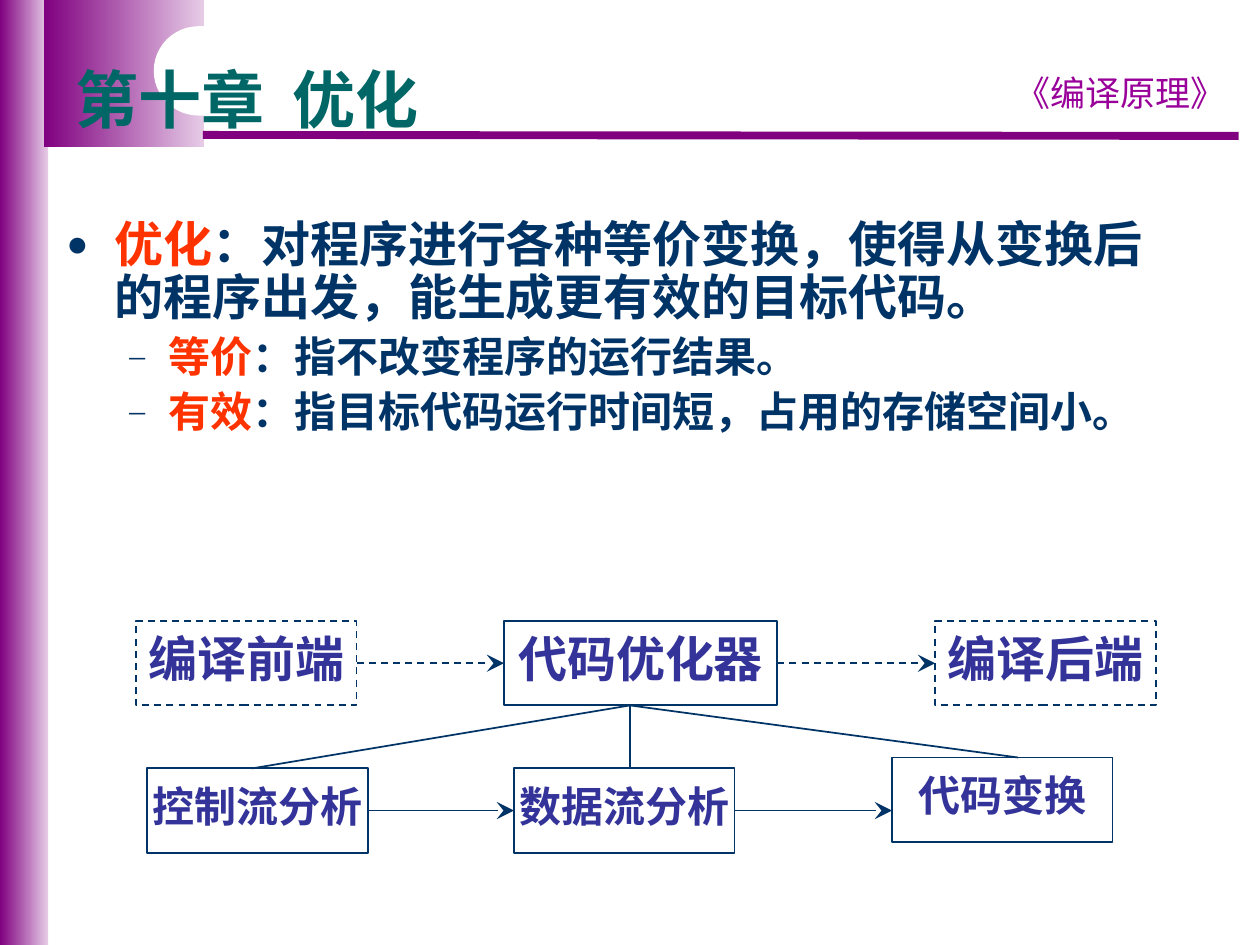
from lxml import etree
from pptx import Presentation
from pptx.dml.color import RGBColor
from pptx.enum import dml, shapes, text
from pptx.oxml import ns
from pptx.util import Cm, Pt

COLOURS = {"purple": "800080", "lilac": "E6CCE6", "white": "FFFFFF", "magenta": "990099",
           "teal": "006666", "navy": "003366", "red": "FF3300", "indigo": "333399"}
CJK = "Noto Sans CJK SC"
TITLE = "第十章  优化"
COURSE = "《编译原理》"
# level, term, explanation
POINTS = [
    (0, "优化", "：对程序进行各种等价变换，使得从变换后的程序出发，能生成更有效的目标代码。"),
    (1, "等价", "：指不改变程序的运行结果。"),
    (1, "有效", "：指目标代码运行时间短，占用的存储空间小。"),
]
# bullet, size, left indent, hanging indent, space before, alignment
LEVELS = [("●", 28, 0.97, 0.97, 0, text.PP_ALIGN.LEFT),
          ("–", 24, 2.06, 0.79, 5.5, text.PP_ALIGN.JUSTIFY)]
# label, left, top, width, text size, dashed
BOX_HEIGHT = 1.7
STAGES = [
    ("编译前端", 2.74, 12.52, 4.45, 28, True),
    ("代码优化器", 10.16, 12.52, 5.51, 28, False),
    ("编译后端", 18.85, 12.52, 4.45, 28, True),
    ("控制流分析", 2.97, 15.49, 4.45, 24, False),
    ("数据流分析", 10.36, 15.49, 4.45, 24, False),
    ("代码变换", 17.98, 15.27, 4.45, 24, False),
]
JOINED_ARROWS = [("编译前端", "代码优化器", True), ("代码优化器", "编译后端", True),
                 ("控制流分析", "数据流分析", False)]
FAN_START = (12.7, 14.22)
FAN_ENDS = [(5.08, 15.49), (12.7, 15.49), (20.52, 15.27)]


def rgb(name):
    return RGBColor.from_string(COLOURS[name])


def add_xml(parent, tag, **attributes):
    return etree.SubElement(parent, ns.qn(tag), attributes)


def write(para, words, size, colour, font=CJK, bold=True):
    span = para.add_run()
    span.text = words
    span.font.size, span.font.bold, span.font.name = Pt(size), bold, font
    span.font.color.rgb = rgb(colour)
    add_xml(span.font._element, "a:ea", typeface=CJK)


def add_text_box(page, left, top, width, height):
    box = page.shapes.add_textbox(Cm(left), Cm(top), Cm(width), Cm(height))
    box.text_frame.word_wrap = True
    return box.text_frame


def add_shape(page, kind, left, top, width, height):
    shape = page.shapes.add_shape(kind, Cm(left), Cm(top), Cm(width), Cm(height))
    shape.shadow.inherit = False
    shape.line.fill.background()
    return shape


def add_line(page, start, end, colour="navy", width=1, dashed=False, arrow=False):
    line = page.shapes.add_connector(
        shapes.MSO_CONNECTOR.STRAIGHT, *(Cm(value) for value in (*start, *end)))
    line.line.color.rgb = rgb(colour)
    line.line.width = Pt(width)
    if dashed:
        line.line.dash_style = dml.MSO_LINE.DASH
    if arrow:
        add_xml(line.line._get_or_add_ln(), "a:tailEnd", type="stealth", w="lg", len="lg")
    add_xml(line._element.spPr, "a:effectLst")
    return line


def add_frame(page):
    for area in ((0, 0, 0.97, 19.05), (0.89, 0, 3.23, 2.97)):
        band = add_shape(page, shapes.MSO_SHAPE.RECTANGLE, *area)
        band.fill.gradient()
        band.fill.gradient_angle = 0
        for stop, colour, place in zip(band.fill.gradient_stops, ("purple", "lilac"), (0, 1)):
            stop.color.rgb = rgb(colour)
            stop.position = place
    add_line(page, (4.09, 2.72), (24.97, 2.74), colour="purple", width=4.5)
    course = add_text_box(page, 20.09, 1.32, 5, 1.09).paragraphs[0]
    course.alignment = text.PP_ALIGN.CENTER
    write(course, COURSE, 20, "magenta", font="Comic Neue", bold=False)
    pill = add_shape(page, shapes.MSO_SHAPE.ROUNDED_RECTANGLE, 3.1, 0.53, 9.19, 1.8)
    pill.adjustments[0] = 0.5
    pill.fill.solid()
    pill.fill.fore_color.rgb = rgb("white")


def add_points(page):
    frame = add_text_box(page, 1.09, 4.32, 22.86, 8.41)
    for index, (level, term, explanation) in enumerate(POINTS):
        bullet, size, left, hanging, before, align = LEVELS[level]
        para = frame.add_paragraph() if index else frame.paragraphs[0]
        para.level, para.alignment = level, align
        para.line_spacing, para.space_before = 0.9, Pt(before)
        props = para._p.get_or_add_pPr()
        props.set("marL", str(Cm(left)))
        props.set("indent", str(-Cm(hanging)))
        colour = add_xml(props, "a:buClr")
        add_xml(colour, "a:srgbClr", val=COLOURS["navy"])
        add_xml(props, "a:buSzPct", val="75000")
        add_xml(props, "a:buFont", typeface="Times New Roman")
        add_xml(props, "a:buChar", char=bullet)
        write(para, term, size, "red")
        write(para, explanation, size, "navy")


def add_stage(page, label, left, top, width, size, dashed):
    box = add_shape(page, shapes.MSO_SHAPE.RECTANGLE, left, top, width, BOX_HEIGHT)
    box.fill.background()
    box.line.color.rgb = rgb("navy")
    box.line.width = Pt(1)
    if dashed:
        box.line.dash_style = dml.MSO_LINE.DASH
    frame = box.text_frame
    frame.word_wrap = False
    frame.vertical_anchor = text.MSO_ANCHOR.MIDDLE
    para = frame.paragraphs[0]
    para.alignment, para.line_spacing = text.PP_ALIGN.CENTER, 0.8
    write(para, label, size, "indigo", font="Times New Roman")
    return box


def add_diagram(page):
    boxes = {stage[0]: add_stage(page, *stage) for stage in STAGES}
    for source, target, dashed in JOINED_ARROWS:
        arrow = add_line(page, (0, 0), (1, 1), dashed=dashed, arrow=True)
        arrow.begin_connect(boxes[source], 3)
        arrow.end_connect(boxes[target], 1)
    arrow = add_line(page, (14.81, 16.34), (17.98, 16.34), arrow=True)
    arrow.begin_connect(boxes["数据流分析"], 3)
    for end in FAN_ENDS:
        add_line(page, FAN_START, end)


def main():
    deck = Presentation()
    deck.slide_width, deck.slide_height = Cm(25.4), Cm(19.05)
    page = deck.slides.add_slide(deck.slide_layouts[6])
    add_frame(page)
    title = add_text_box(page, 1.27, 1.27, 22.86, 2.46).paragraphs[0]
    title.line_spacing = 0.9
    write(title, TITLE, 36, "teal")
    add_points(page)
    add_diagram(page)
    deck.save("out.pptx")


if __name__ == "__main__":
    main()
